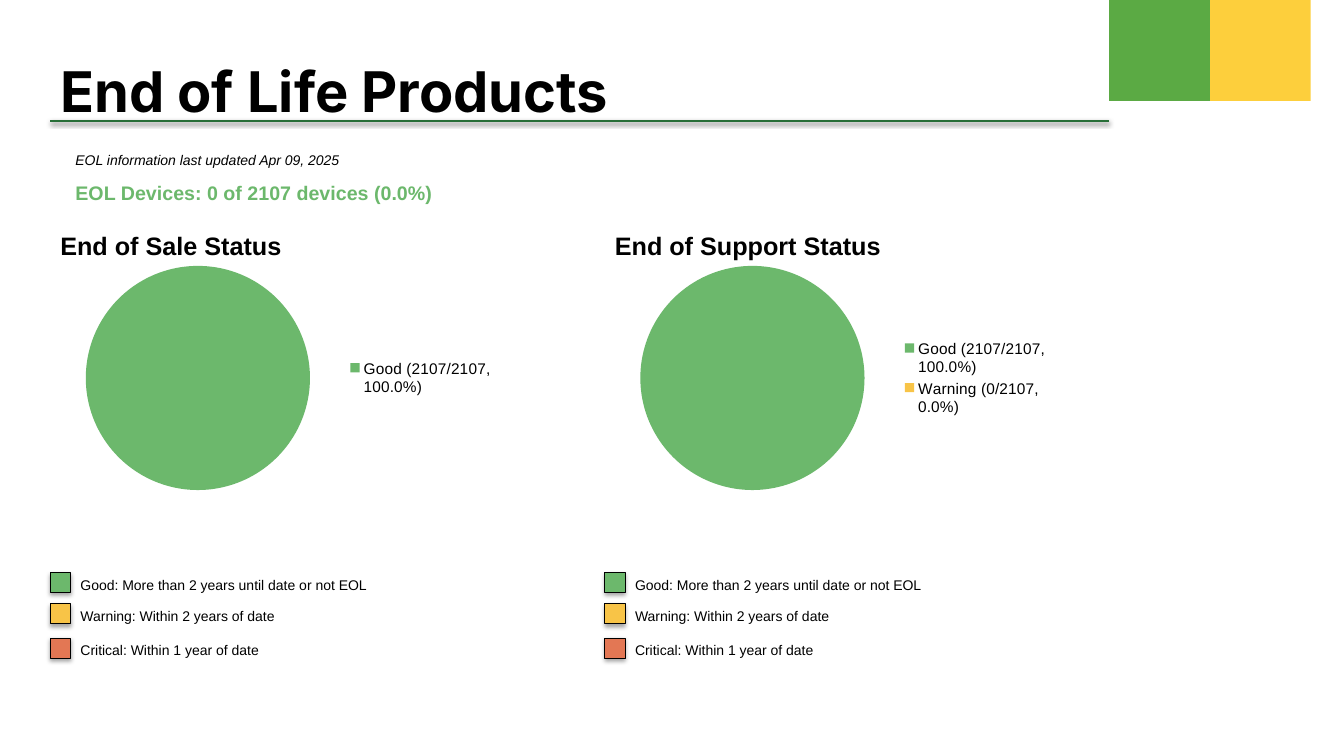
from lxml import etree
from pptx import Presentation
from pptx.chart.data import CategoryChartData
from pptx.dml.color import RGBColor
from pptx.enum.chart import XL_CHART_TYPE, XL_LEGEND_POSITION
from pptx.enum.shapes import MSO_CONNECTOR, MSO_SHAPE
from pptx.enum.text import MSO_ANCHOR
from pptx.oxml.ns import qn
from pptx.util import Inches, Pt

PIE = XL_CHART_TYPE.PIE
LEGEND_RIGHT = XL_LEGEND_POSITION.RIGHT
STRAIGHT = MSO_CONNECTOR.STRAIGHT
RECTANGLE = MSO_SHAPE.RECTANGLE
MIDDLE = MSO_ANCHOR.MIDDLE

BLACK = RGBColor(0x00, 0x00, 0x00)
RULE_GREEN = RGBColor(0x27, 0x6E, 0x37)
GOOD = RGBColor(0x6C, 0xB8, 0x6C)
WARNING = RGBColor(0xF8, 0xC4, 0x47)
CRITICAL = RGBColor(0xE3, 0x77, 0x54)
CORNER_YELLOW = RGBColor(0xFD, 0xCF, 0x3C)
CORNER_GREEN = RGBColor(0x5B, 0xAA, 0x44)

# Content
TITLE = "End of Life Products"
UPDATED = "EOL information last updated Apr 09, 2025"
DEVICES = "EOL Devices: 0 of 2107 devices (0.0%)"

# Each panel: left edge, heading, slices (label, percent, colour)
PANELS = [
    (0.5, "End of Sale Status", [("Good (2107/2107, 100.0%)", 100, GOOD)]),
    (6, "End of Support Status", [("Good (2107/2107, 100.0%)", 100, GOOD),
                                  ("Warning (0/2107, 0.0%)", 0, WARNING)]),
]

# Key rows: top of the swatch, label, colour
KEY = [
    (5.68, "Good: More than 2 years until date or not EOL", GOOD),
    (5.99, "Warning: Within 2 years of date", WARNING),
    (6.33, "Critical: Within 1 year of date", CRITICAL),
]

# Corner bands: straight edge, then two curves (two controls and an end)
CORNER_BANDS = [
    (CORNER_YELLOW, [(12.24, 0), (13.33, 0), (12.89, 0.99)],
     [((12.78, 1.25), (12.48, 1.36), (12.23, 1.24)),
      ((11.97, 1.13), (11.86, 0.83), (11.97, 0.58))]),
    (CORNER_GREEN, [(11.42, 0), (12.27, 0), (12.01, 0.55)],
     [((11.93, 0.75), (11.7, 0.83), (11.5, 0.74)),
      ((11.31, 0.66), (11.22, 0.43), (11.31, 0.23))]),
]
CURVE_STEPS = 16
PANEL_WIDTH = 4.5
SWATCH = 0.2

prs = Presentation()
prs.slide_width, prs.slide_height = Inches(13.33), Inches(7.5)
slide = prs.slides.add_slide(prs.slide_layouts[6])
shapes = slide.shapes


def curve_points(start, control_1, control_2, end):
    """Points along a cubic curve, without its start."""
    points = []
    for step in range(1, CURVE_STEPS + 1):
        t = step / CURVE_STEPS
        weights = ((1 - t) ** 3, 3 * t * (1 - t) ** 2, 3 * t * t * (1 - t), t ** 3)
        corners = (start, control_1, control_2, end)
        points.append(tuple(sum(w * c[axis] for w, c in zip(weights, corners))
                            for axis in (0, 1)))
    return points


def add_band(color, edge, curves):
    outline = list(edge)
    for curve in curves:
        outline += curve_points(outline[-1], *curve)
    builder = shapes.build_freeform(*outline[0], scale=Inches(1))
    builder.add_line_segments(outline[1:], close=True)
    band = builder.convert_to_shape()
    band.shadow.inherit = False
    band.fill.solid()
    band.fill.fore_color.rgb = color
    band.line.fill.background()


def add_text(text, left, top, width, height, size, color=BLACK, name="Arial",
             bold=False, italic=False):
    frame = shapes.add_textbox(Inches(left), Inches(top), Inches(width),
                               Inches(height)).text_frame
    frame.word_wrap = True
    frame.vertical_anchor = MIDDLE
    paragraph = frame.paragraphs[0]
    paragraph.text = text
    font = paragraph.font
    font.name, font.size, font.bold, font.italic = name, Pt(size), bold, italic
    font.color.rgb = color


def add_shadow(shape, distance, opacity):
    effects = etree.SubElement(shape._element.spPr, qn("a:effectLst"))
    shadow = etree.SubElement(effects, qn("a:outerShdw"), blurRad=str(Pt(3.1)),
                              dist=str(Pt(distance)), dir="5400000", rotWithShape="0")
    tint = etree.SubElement(shadow, qn("a:srgbClr"), val=str(BLACK))
    etree.SubElement(tint, qn("a:alpha"), val=str(opacity * 1000))


def add_pie(left, slices):
    data = CategoryChartData()
    data.categories = [label for label, _, _ in slices]
    data.add_series("Series 1", [percent for _, percent, _ in slices])
    chart = shapes.add_chart(PIE, Inches(left), Inches(2.5), Inches(PANEL_WIDTH),
                             Inches(2.5), data).chart
    chart.has_title = False
    chart.font.name, chart.font.size = "Arial", Pt(18)
    chart.font.color.rgb = BLACK
    chart.has_legend = True
    chart.legend.position = LEGEND_RIGHT
    chart.legend.include_in_layout = False
    chart.legend.font.size = Pt(11)
    plot = chart.plots[0]
    plot.vary_by_categories = True
    for index, (_, _, color) in enumerate(slices):
        fill = plot.series[0].points[index].format.fill
        fill.solid()
        fill.fore_color.rgb = color


def add_key_row(left, top, label, color):
    swatch = shapes.add_shape(RECTANGLE, Inches(left), Inches(top),
                              Inches(SWATCH), Inches(SWATCH))
    swatch.fill.solid()
    swatch.fill.fore_color.rgb = color
    swatch.line.color.rgb = BLACK
    swatch.line.width = Pt(0.75)
    add_shadow(swatch, 1.8, 35)
    add_text(label, left + SWATCH, top - 0.01, PANEL_WIDTH, 0.26, 10)


# Corner decoration
for band in CORNER_BANDS:
    add_band(*band)

# Title, rule and summary
add_text(TITLE, 0.5, 0.51, 9, 0.77, 40, name="Inter", bold=True)
rule = shapes.add_connector(STRAIGHT, Inches(0.5), Inches(1.2), Inches(11), Inches(1.2))
rule.line.color.rgb = RULE_GREEN
rule.line.width = Pt(2)
add_shadow(rule, 1.6, 38)
add_text(UPDATED, 0.65, 1.46, 5, 0.26, 10, italic=True)
add_text(DEVICES, 0.65, 1.74, 10, 0.34, 14, color=GOOD, bold=True)

# Status panels
for left, heading, slices in PANELS:
    add_text(heading, left, 2.24, PANEL_WIDTH, 0.38, 18, bold=True)
    add_pie(left, slices)
    for key_row in KEY:
        add_key_row(left, *key_row)

prs.save("out.pptx")
